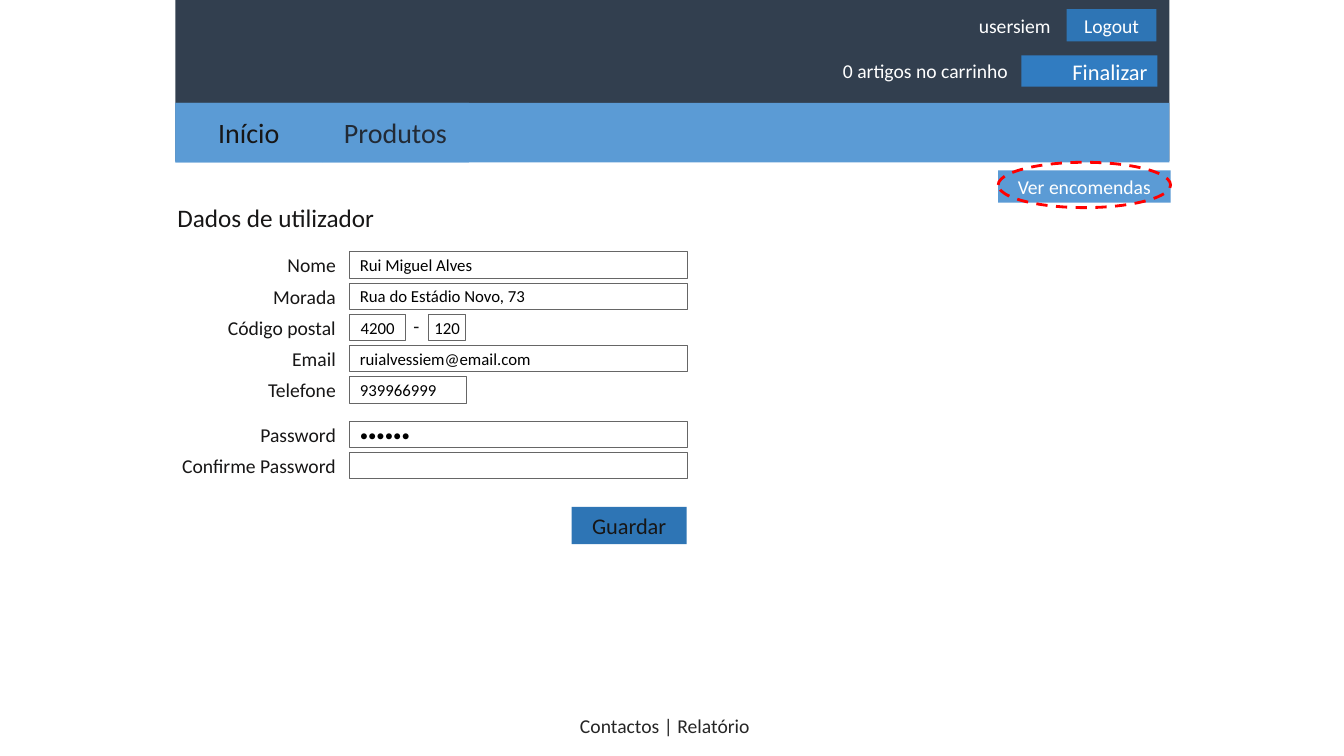
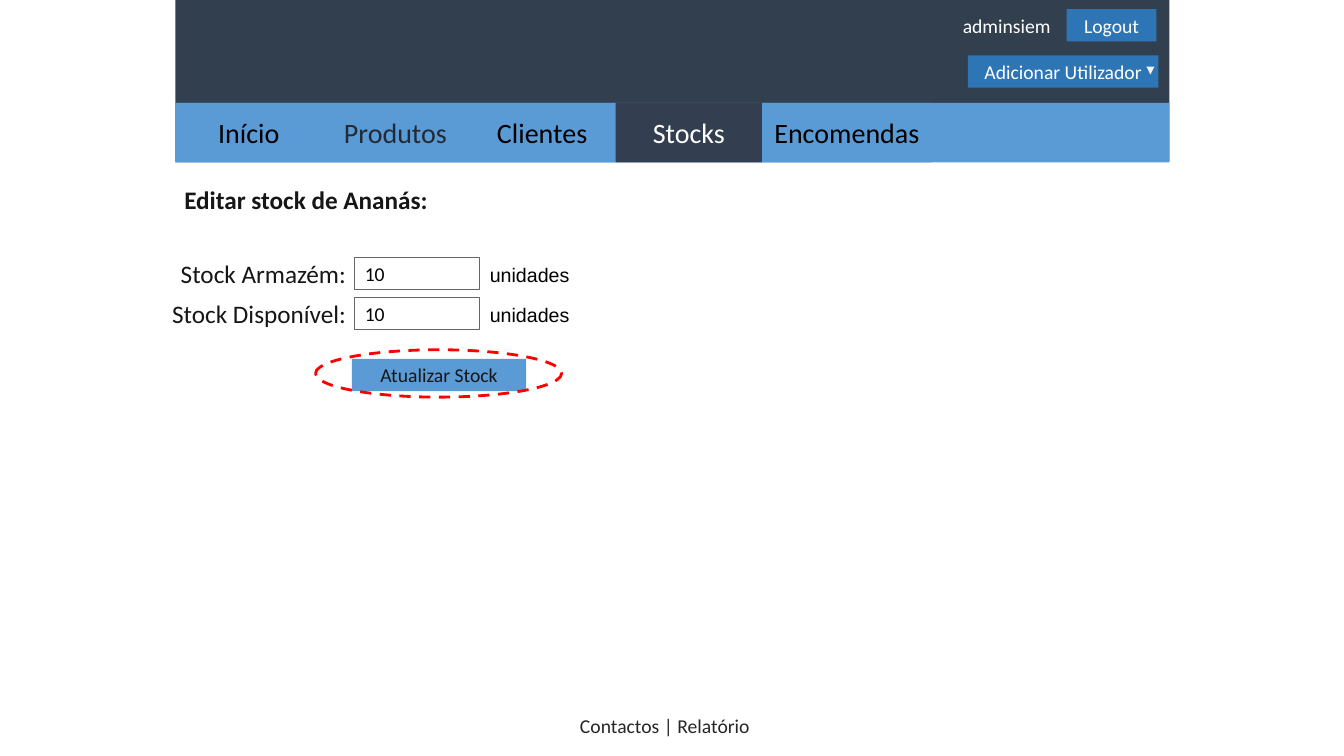
from pptx import Presentation
from pptx.dml.color import RGBColor
from pptx.enum.dml import MSO_LINE
from pptx.enum.shapes import MSO_SHAPE as SHAPE
from pptx.enum.text import MSO_ANCHOR as ANCHOR, PP_ALIGN as ALIGN
from pptx.util import Inches, Pt

NAVY = RGBColor(0x32, 0x3F, 0x4F)
ACTIVE_TAB = RGBColor(0x33, 0x3F, 0x50)
SKY = RGBColor(0x5B, 0x9B, 0xD5)
BUTTON = RGBColor(0x2E, 0x75, 0xB5)
CHECKOUT = RGBColor(0x31, 0x7C, 0xC1)
WHITE = RGBColor(0xFF, 0xFF, 0xFF)
PALE = RGBColor(0xF2, 0xF2, 0xF2)
BLACK = RGBColor(0, 0, 0)
INK = RGBColor(0x17, 0x16, 0x16)
TAB_INK = RGBColor(0x22, 0x2A, 0x35)
FOOTER_INK = RGBColor(0x26, 0x26, 0x26)
GREY = RGBColor(0x66, 0x66, 0x66)
RED = RGBColor(0xFF, 0, 0)
BODY_FONT = "Calibri"
PAGE_LEFT, PAGE_WIDTH = 1.74, 9.86
TAB_WIDTH, TAB_HEIGHT = 5.82 / 4, 0.59


def write(shape, text, size, color, align, bold=False, font=BODY_FONT, margin=0.1, wrap=True):
    """Put one formatted, vertically centred line of text in a shape."""
    frame = shape.text_frame
    frame.text = text
    frame.word_wrap = wrap
    frame.vertical_anchor = ANCHOR.MIDDLE
    frame.margin_left = frame.margin_right = Inches(margin)
    paragraph = frame.paragraphs[0]
    paragraph.alignment = align
    for run in paragraph.runs:
        run.font.name = font
        run.font.size = Pt(size)
        run.font.bold = bold
        run.font.color.rgb = color


def add_label(slide, box, text, size=14, color=INK, align=ALIGN.RIGHT, **style):
    """Add a text box without fill or outline."""
    label = slide.shapes.add_textbox(*map(Inches, box))
    write(label, text, size, color, align, **style)


def add_figure(slide, box, kind=SHAPE.RECTANGLE, fill=None, line=None, weight=0.75):
    """Add a preset shape with an optional fill and outline."""
    shape = slide.shapes.add_shape(kind, *map(Inches, box))
    shape.shadow.inherit = False
    if fill is None:
        shape.fill.background()
    else:
        shape.fill.solid()
        shape.fill.fore_color.rgb = fill
    if line is None:
        shape.line.fill.background()
    else:
        shape.line.color.rgb = line
        shape.line.width = Pt(weight)
    return shape


def add_button(slide, box, text, fill=BUTTON, size=14, color=WHITE, align=ALIGN.CENTER):
    """Add a filled button with a caption."""
    write(add_figure(slide, box, fill=fill), text, size, color, align)


def add_input(slide, box, text, size=12, align=ALIGN.LEFT, margin=0.1):
    """Add an outlined form field with its value."""
    field = add_figure(slide, box, line=GREY)
    if text:
        write(field, text, size, BLACK, align, margin=margin)


def add_highlight(slide, box):
    """Add a dashed red ellipse around a control."""
    ellipse = add_figure(slide, box, SHAPE.OVAL, line=RED, weight=2)
    ellipse.line.dash_style = MSO_LINE.DASH


def add_frame(slide, user, tabs):
    """Add the header bands, tabs, user controls and footer of a page."""
    add_figure(slide, (PAGE_LEFT, 0, PAGE_WIDTH, 1.6), fill=NAVY)
    add_figure(slide, (PAGE_LEFT, 1.02, PAGE_WIDTH, TAB_HEIGHT), fill=SKY)
    for index, (text, color, fill, width) in enumerate(tabs):
        box = (PAGE_LEFT + index * TAB_WIDTH, 1.02, width, TAB_HEIGHT)
        add_button(slide, box, text, fill, 20, color)
    add_label(slide, (8.51, 0.09, 2.01, 0.32), user, color=WHITE)
    add_button(slide, (10.58, 0.09, 0.89, 0.32), "Logout")
    add_label(slide, (5.36, 7.04, 2.47, 0.32), "Contactos | Relatório",
              color=FOOTER_INK, align=ALIGN.CENTER)


def add_user_form(slide, left, top):
    """Add the user data form below its heading."""
    field_left, height, pitch, password_top = left + 1.81, 0.26, 0.31, 2.18
    wide, narrow = 3.35, 1.16
    add_label(slide, (left, top, 2.31, 0.32), "Dados de utilizador", 18, align=ALIGN.LEFT)
    rows = [
        ("Nome", "Rui Miguel Alves", wide, 0.5),
        ("Morada", "Rua do Estádio Novo, 73", wide, 0.5 + pitch),
        ("Código postal", None, 0, 0.5 + 2 * pitch),
        ("Email", "ruialvessiem@email.com", wide, 0.5 + 3 * pitch),
        ("Telefone", "939966999", narrow, 0.5 + 4 * pitch),
        ("Password", "••••••", wide, password_top),
        ("Confirme Password", "", wide, password_top + pitch),
    ]
    for caption, value, width, offset in rows:
        add_label(slide, (left, top + offset, 1.77, height), caption)
        if value is not None:
            add_input(slide, (field_left, top + offset, width, height), value)
    postal_top = top + 0.5 + 2 * pitch
    add_input(slide, (field_left, postal_top, 0.55, height), "4200", align=ALIGN.CENTER)
    add_label(slide, (field_left + 0.56, postal_top - 0.02, 0.17, height), "-", wrap=False)
    add_input(slide, (field_left + 0.78, postal_top, 0.37, height), "120",
              align=ALIGN.CENTER, margin=0.04)
    add_button(slide, (left + 4.01, top + 3.03, 1.14, 0.37), "Guardar", size=16, color=INK)


def add_stock_form(slide, left, top):
    """Add the stock rows and the highlighted update button."""
    for index, caption in enumerate(("Stock Armazém:", "Stock Disponível:")):
        row_top = top + index * 0.4
        add_label(slide, (left, row_top, 2.01, 0.32), caption, 18)
        add_input(slide, (left + 2, row_top, 1.24, 0.32), "10", 14)
        add_label(slide, (left + 3.24, row_top, 1, 0.34), "unidades", color=BLACK,
                  align=ALIGN.LEFT, font="Arial", wrap=False)
    add_button(slide, (left + 1.97, top + 1.01, 1.73, 0.32), "Atualizar Stock", SKY, color=INK)
    add_highlight(slide, (left + 1.61, top + 0.92, 2.44, 0.47))


def build_user_page(slide):
    """Build the page with the data of a signed-in customer."""
    add_frame(slide, "usersiem", [
        ("Início", INK, SKY, TAB_WIDTH),
        ("Produtos", TAB_INK, SKY, TAB_WIDTH),
    ])
    add_label(slide, (8.2, 0.53, 1.96, 0.35), "0 artigos no carrinho",
              color=WHITE, align=ALIGN.CENTER)
    add_button(slide, (10.13, 0.55, 1.35, 0.31), "Finalizar", CHECKOUT, 16, align=ALIGN.RIGHT)
    add_user_form(slide, 1.66, 2)
    add_button(slide, (9.9, 1.69, 1.71, 0.32), "Ver encomendas", SKY)
    add_highlight(slide, (9.9, 1.61, 1.71, 0.45))


def build_stock_page(slide):
    """Build the administrator page that edits a stock."""
    add_frame(slide, "adminsiem", [
        ("Início", BLACK, SKY, TAB_WIDTH),
        ("Produtos", TAB_INK, SKY, TAB_WIDTH),
        ("Clientes", BLACK, SKY, TAB_WIDTH),
        ("Stocks", WHITE, ACTIVE_TAB, TAB_WIDTH),
        ("Encomendas", BLACK, SKY, 1.68),
    ])
    add_button(slide, (9.6, 0.55, 1.89, 0.32), "Adicionar Utilizador")
    arrow = add_figure(slide, (11.37, 0.66, 0.08, 0.08), SHAPE.ISOSCELES_TRIANGLE, fill=PALE)
    arrow.rotation = 180
    add_label(slide, (1.73, 1.82, 4.36, 0.32), "Editar stock de Ananás:", 18,
              align=ALIGN.LEFT, bold=True)
    add_stock_form(slide, 1.52, 2.55)


def main():
    """Create the presentation and save it."""
    presentation = Presentation()
    presentation.slide_width = Inches(13.33)
    presentation.slide_height = Inches(7.5)
    for build_page in (build_user_page, build_stock_page):
        build_page(presentation.slides.add_slide(presentation.slide_layouts[6]))
    presentation.save("out.pptx")


if __name__ == "__main__":
    main()
